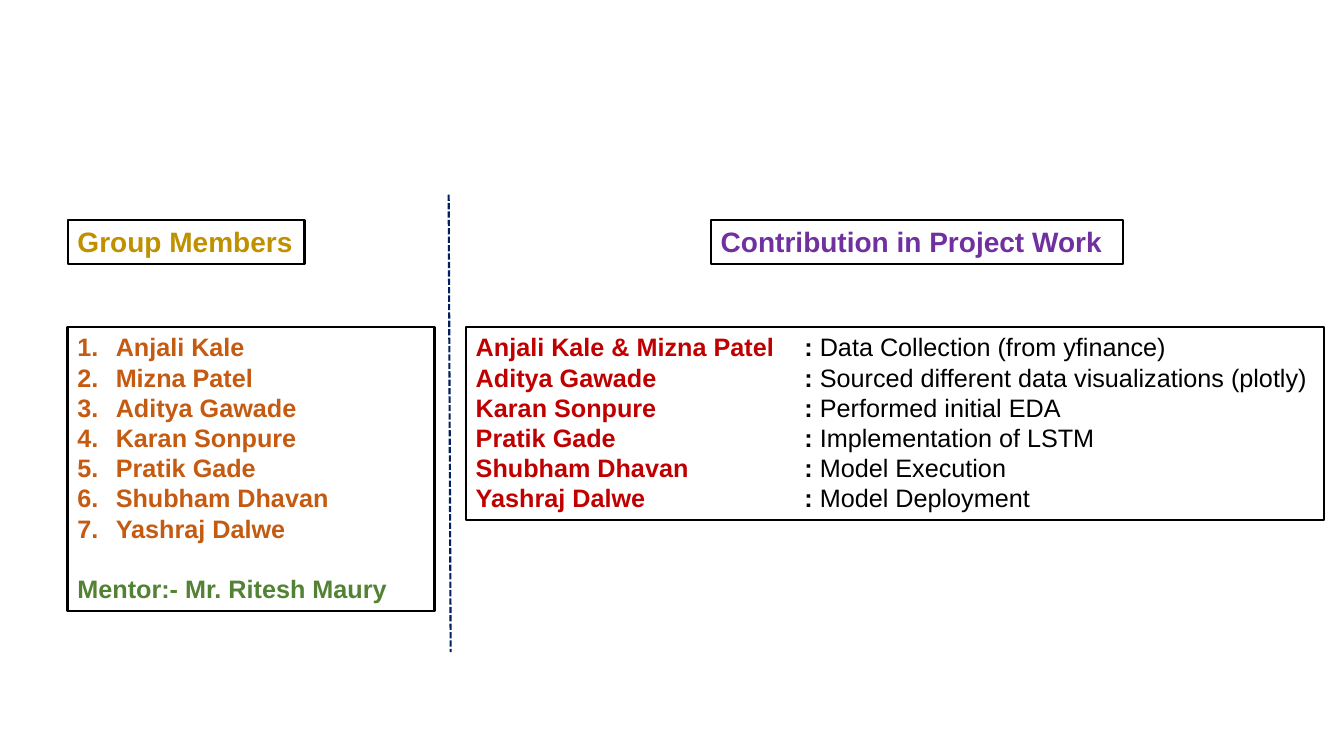
from lxml import etree
from pptx import Presentation
from pptx import util as u
from pptx.dml.color import RGBColor
from pptx.enum import dml, shapes, text
from pptx.oxml import ns

COLORS = {
    "white": "FFFFFF", "black": "000000", "gold": "BF9000", "purple": "7030A0",
    "orange": "C55A11", "green": "548235", "red": "C00000", "navy": "002060",
}
MEMBERS = [
    "Anjali Kale", "Mizna Patel", "Aditya Gawade", "Karan Sonpure",
    "Pratik Gade", "Shubham Dhavan", "Yashraj Dalwe",
]
MENTOR = "Mentor:- Mr. Ritesh Maury"
CONTRIBUTIONS = [
    (" & ".join(MEMBERS[:2]), "Data Collection (from yfinance)"),
    (MEMBERS[2], "Sourced different data visualizations (plotly)"),
    (MEMBERS[3], "Performed initial EDA"),
    (MEMBERS[4], "Implementation of LSTM"),
    (MEMBERS[5], "Model Execution"),
    (MEMBERS[6], "Model Deployment"),
]
LEFT, RIGHT = 0.67, 4.62
HEADING_TOP, HEADING_HEIGHT, LIST_TOP = 2.18, 0.44, 3.24
LINE_PITCH, BOX_PADDING = 0.3, 0.12
TAB_POSITION, NUMBER_INDENT = 3.26, 0.38
HEADING_SIZE, LIST_SIZE = 20, 18


def color(name):
    return RGBColor.from_string(COLORS[name])


def add_box(left, top, width, height, fill=None):
    box = slide.shapes.add_shape(
        shapes.MSO_SHAPE.RECTANGLE, *map(u.Inches, (left, top, width, height)))
    box.shadow.inherit = False
    if fill:
        box.fill.solid()
        box.fill.fore_color.rgb = color(fill)
    else:
        box.fill.background()
    box.line.color.rgb = color("black")
    box.line.width = u.Pt(1.5)
    frame = box.text_frame
    frame.word_wrap = True
    frame.margin_right = 0
    frame.vertical_anchor = text.MSO_ANCHOR.TOP
    return frame


def add_paragraph(frame, size, color_name):
    first = frame.paragraphs[0]
    paragraph = frame.add_paragraph() if first.runs else first
    paragraph.alignment = text.PP_ALIGN.LEFT
    paragraph.font.name = "Arial"
    paragraph.font.size = u.Pt(size)
    paragraph.font.color.rgb = color(color_name)
    return paragraph


def add_run(paragraph, words, color_name, bold=True):
    run = paragraph.add_run()
    run.text = words
    run.font.bold = bold
    run.font.color.rgb = color(color_name)


def add_heading(words, left, width, color_name):
    frame = add_box(left, HEADING_TOP, width, HEADING_HEIGHT, "white")
    add_run(add_paragraph(frame, HEADING_SIZE, color_name), words, color_name)


def add_list_box(left, width, lines):
    return add_box(left, LIST_TOP, width, lines * LINE_PITCH + BOX_PADDING)


def add_list_line(frame, color_name):
    paragraph = add_paragraph(frame, LIST_SIZE, color_name)
    paragraph.line_spacing = u.Inches(LINE_PITCH)
    return paragraph


def number(paragraph):
    properties = paragraph._p.get_or_add_pPr()
    indent = u.Inches(NUMBER_INDENT)
    properties.set("marL", str(indent))
    properties.set("indent", str(-indent))
    font = etree.SubElement(properties, ns.qn("a:buFont"))
    font.set("typeface", "+mj-lt")
    bullet = etree.SubElement(properties, ns.qn("a:buAutoNum"))
    bullet.set("type", "arabicPeriod")
    properties.append(properties.find(ns.qn("a:defRPr")))


def add_tab_stop(paragraph):
    properties = paragraph._p.get_or_add_pPr()
    tabs = etree.SubElement(properties, ns.qn("a:tabLst"))
    tab = etree.SubElement(tabs, ns.qn("a:tab"))
    tab.set("pos", str(u.Inches(TAB_POSITION)))
    tab.set("algn", "l")
    properties.append(properties.find(ns.qn("a:defRPr")))


presentation = Presentation()
presentation.slide_width = u.Inches(13.33)
presentation.slide_height = u.Inches(7.5)
slide = presentation.slides.add_slide(presentation.slide_layouts[6])

members = add_list_box(LEFT, 3.64, len(MEMBERS) + 2)
for name in MEMBERS:
    line = add_list_line(members, "orange")
    add_run(line, name, "orange")
    number(line)
mentor = add_list_line(members, "green")
mentor.space_before = u.Inches(LINE_PITCH)
add_run(mentor, MENTOR, "green")

add_heading("Group Members", LEFT, 2.35, "gold")

contributions = add_list_box(RIGHT, 8.51, len(CONTRIBUTIONS))
for name, task in CONTRIBUTIONS:
    line = add_list_line(contributions, "black")
    add_run(line, name + "\t", "red")
    add_run(line, ": ", "black")
    add_run(line, task, "black", bold=False)
    add_tab_stop(line)

add_heading("Contribution in Project Work", 7.05, 4.09, "purple")

divider = slide.shapes.add_connector(
    shapes.MSO_CONNECTOR.STRAIGHT, *map(u.Inches, (4.45, 1.93, 4.47, 6.47)))
divider.line.color.rgb = color("navy")
divider.line.width = u.Pt(1.5)
divider.line.dash_style = dml.MSO_LINE.SQUARE_DOT
etree.SubElement(divider._element.spPr, ns.qn("a:effectLst"))

presentation.save("out.pptx")
